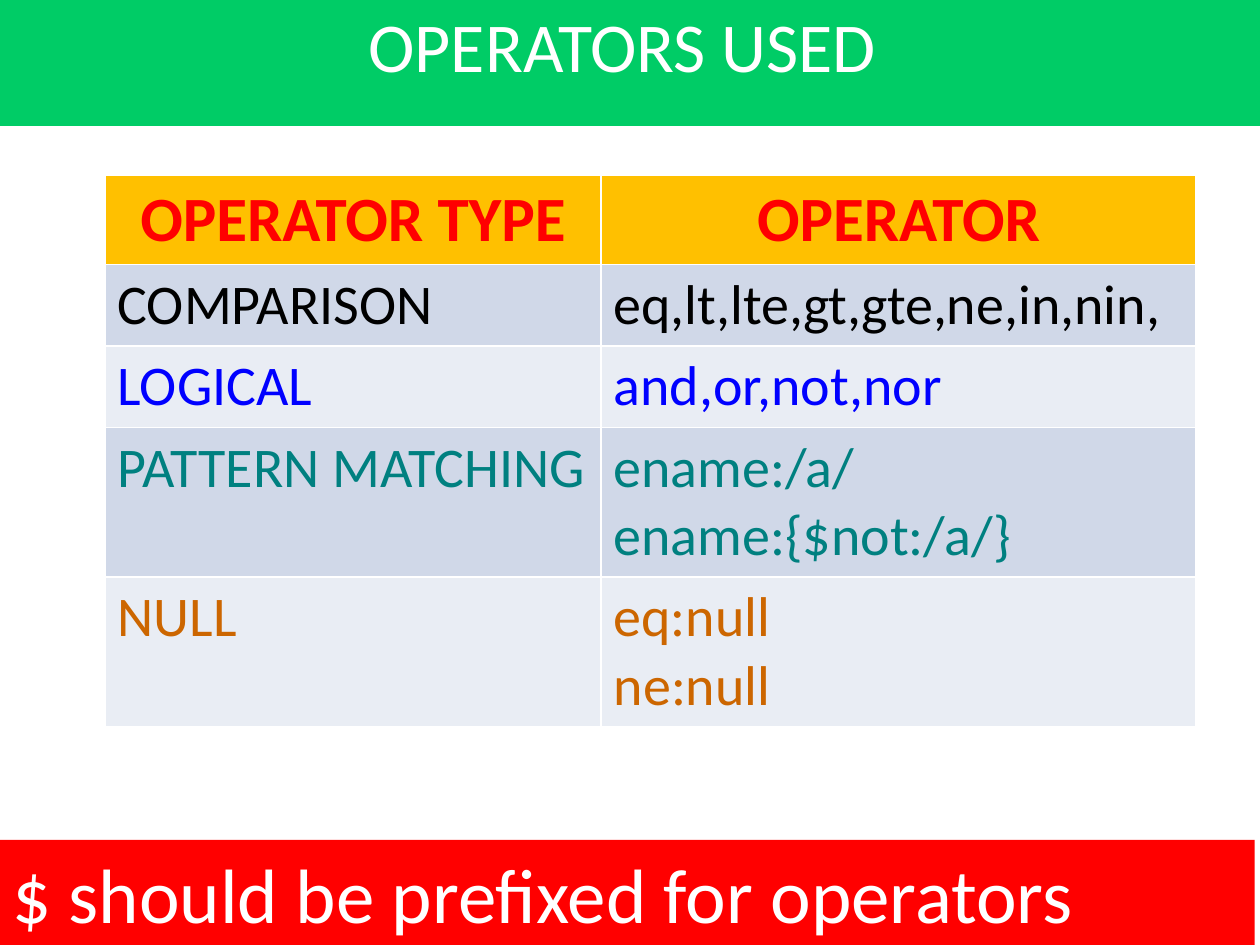
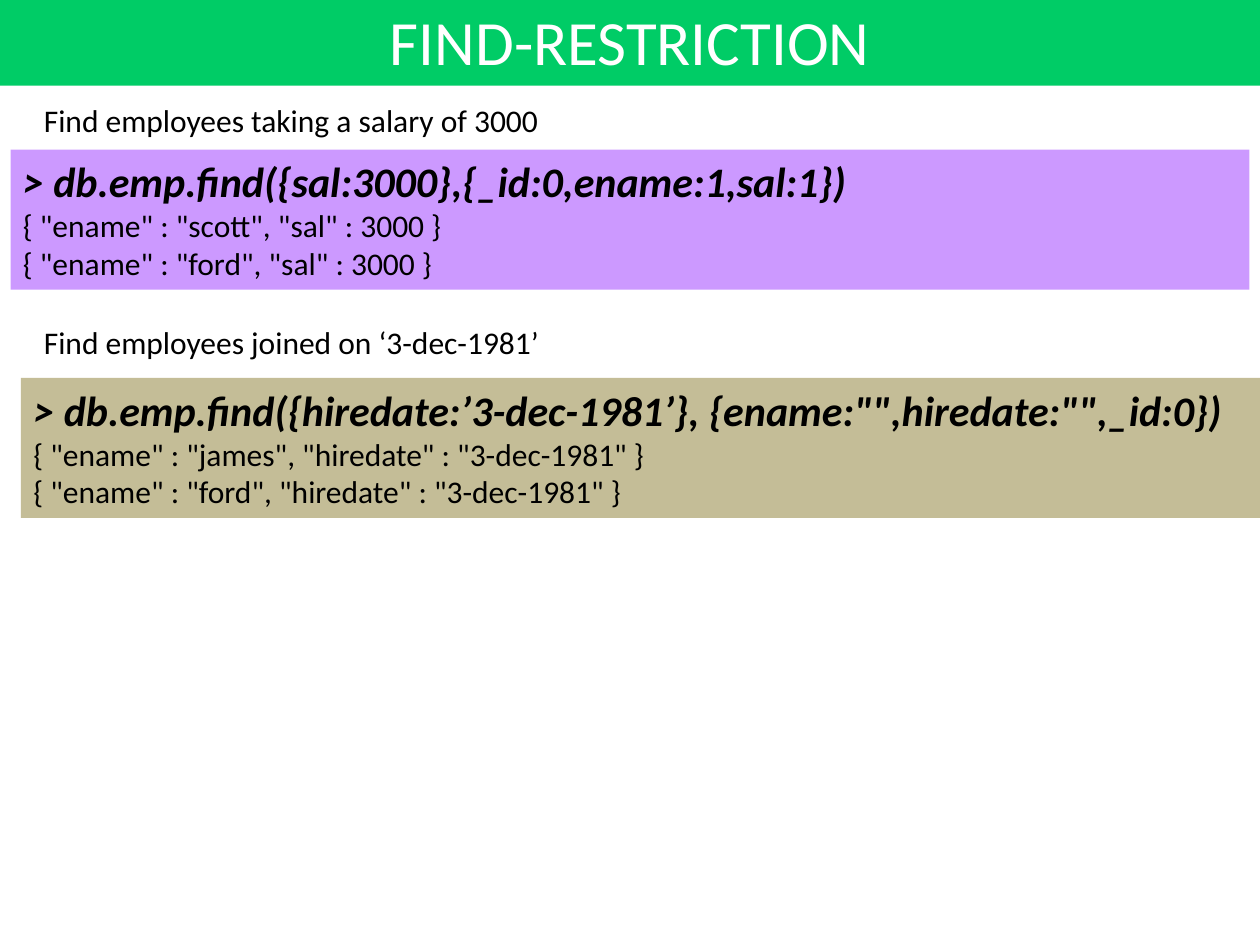
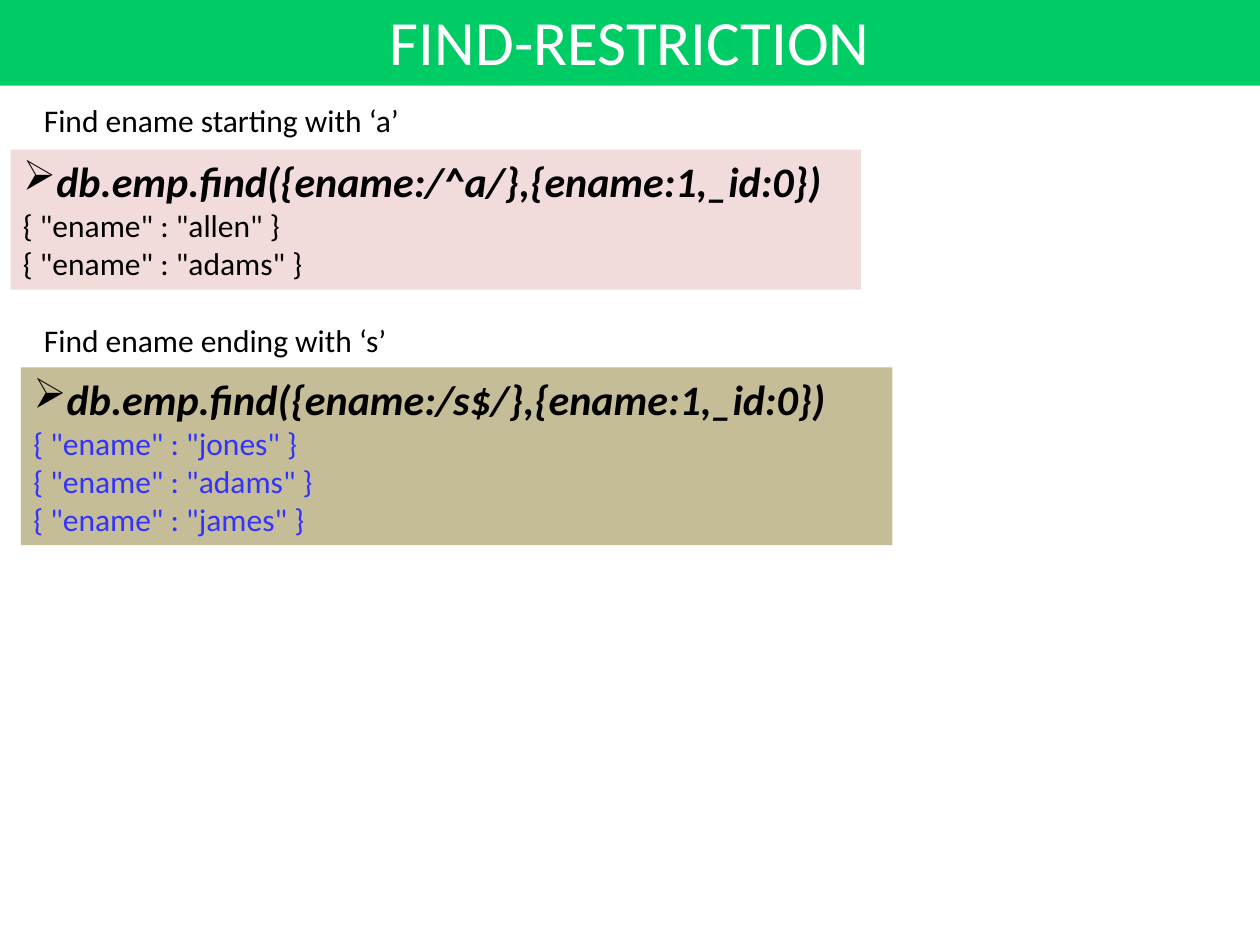
"""Build three slides on query operators and find restrictions."""
import pptx
import pptx.dml.color
import pptx.enum.shapes
import pptx.enum.text
import pptx.oxml
import pptx.oxml.ns
import pptx.util

Pt = pptx.util.Pt
RGBColor = pptx.dml.color.RGBColor
Align = pptx.enum.text.PP_ALIGN
AutoSize = pptx.enum.text.MSO_AUTO_SIZE

WHITE = RGBColor(0xFF, 0xFF, 0xFF)
BLACK = RGBColor(0, 0, 0)
GREEN = RGBColor(0x00, 0xCC, 0x66)
RED = RGBColor(0xFF, 0, 0)
GOLD = RGBColor(0xFF, 0xC0, 0)
BLUE = RGBColor(0, 0, 0xFF)
TEAL = RGBColor(0, 0x80, 0x80)
ORANGE = RGBColor(0xCC, 0x66, 0)
PURPLE = RGBColor(0xCC, 0x99, 0xFF)
TAN = RGBColor(0xC4, 0xBD, 0x97)
PINK = RGBColor(0xF2, 0xDC, 0xDB)
INDIGO = RGBColor(0x33, 0x33, 0xFF)
BANDS = (RGBColor(0xD0, 0xD8, 0xE8), RGBColor(0xE9, 0xED, 0xF4))

SLIDE_WIDTH, SLIDE_HEIGHT = 720, 540
TITLE_TOP = -2
LABEL_LEFT, LABEL_HEIGHT = 18, 29
TABLE_LEFT, TABLE_TOP = 60, 100
COLUMN_WIDTHS = (283.5, 340)
HEADER_HEIGHT = 50.5
ROW_HEIGHTS = {1: 46.5, 2: 85}

OPERATOR_HEADER = ("OPERATOR TYPE", "OPERATOR")
OPERATOR_ROWS = [
    ("COMPARISON", ["eq,lt,lte,gt,gte,ne,in,nin,"], BLACK),
    ("LOGICAL", ["and,or,not,nor"], BLUE),
    ("PATTERN MATCHING", ["ename:/a/", "ename:{$not:/a/}"], TEAL),
    ("NULL", ["eq:null", "ne:null"], ORANGE),
]
FOOTER = "$ should be prefixed for operators"

FIND_SLIDES = [
    [
        dict(label="Find employees taking a salary of 3000", label_at=(54, 304.5),
             at=(6, 85.5, 708, 80), fill=PURPLE, bullet=None, color=BLACK,
             query="> db.emp.find({sal:3000},{_id:0,ename:1,sal:1})",
             results=['{ "ename" : "scott", "sal" : 3000 }',
                      '{ "ename" : "ford", "sal" : 3000 }']),
        dict(label="Find employees joined on ‘3-dec-1981’", label_at=(181, 304.5),
             at=(12, 216, 708, 80), fill=TAN, bullet=None, color=BLACK,
             query='> db.emp.find({hiredate:’3-dec-1981’}, {ename:"",hiredate:"",_id:0})',
             results=['{ "ename" : "james", "hiredate" : "3-dec-1981" }',
                      '{ "ename" : "ford", "hiredate" : "3-dec-1981" }']),
    ],
    [
        dict(label="Find ename starting with ‘a’", label_at=(54, 224.5),
             at=(6, 85.5, 486, 80), fill=PINK, bullet="➢", color=BLACK,
             query="db.emp.find({ename:/^a/},{ename:1,_id:0})",
             results=['{ "ename" : "allen" }', '{ "ename" : "adams" }']),
        dict(label="Find ename ending with ‘s’", label_at=(180, 217.5),
             at=(12, 210, 498, 101.5), fill=TAN, bullet="➢", color=INDIGO,
             query="db.emp.find({ename:/s$/},{ename:1,_id:0})",
             results=['{ "ename" : "jones" }', '{ "ename" : "adams" }',
                      '{ "ename" : "james" }']),
    ],
]


def write(frame, lines, align=Align.LEFT):
    """Write (text, size, color, extra font values, bullet) lines as paragraphs."""
    for index, (text, size, color, extra, bullet) in enumerate(lines):
        para = frame.add_paragraph() if index else frame.paragraphs[0]
        para.alignment = align
        if bullet:
            mark = pptx.oxml.parse_xml(
                f'<a:buChar {pptx.oxml.ns.nsdecls("a")} char="{bullet}"/>')
            para._p.get_or_add_pPr().append(mark)
        span = para.add_run()
        span.text = text
        values = {"name": "Calibri", "size": Pt(size), "bold": False, "italic": False}
        for name, value in {**values, **extra}.items():
            setattr(span.font, name, value)
        span.font.color.rgb = color


def add_band(page, at, fill, lines, align=Align.LEFT, fit=AutoSize.SHAPE_TO_FIT_TEXT):
    """Add a borderless filled rectangle with text at its top."""
    box = page.shapes.add_shape(
        pptx.enum.shapes.MSO_SHAPE.RECTANGLE, *(Pt(length) for length in at))
    box.shadow.inherit = False
    box.fill.solid()
    box.fill.fore_color.rgb = fill
    box.line.fill.background()
    frame = {"word_wrap": True, "auto_size": fit,
             "vertical_anchor": pptx.enum.text.MSO_ANCHOR.TOP}
    for name, value in frame.items():
        setattr(box.text_frame, name, value)
    write(box.text_frame, lines, align)


def add_page(deck, title, size, height):
    """Add a blank slide with the green title band."""
    page = deck.slides.add_slide(deck.slide_layouts[6])
    add_band(page, (0, TITLE_TOP, SLIDE_WIDTH, height), GREEN,
             [(title, size, WHITE, {}, None)], Align.CENTER, AutoSize.NONE)
    return page


def fill_cell(cell, fill, lines, align=Align.LEFT):
    """Fill one table cell with a colour and text."""
    cell.fill.solid()
    cell.fill.fore_color.rgb = fill
    write(cell.text_frame, lines, align)


def add_operator_table(page):
    """Add the table of operator types."""
    heights = [HEADER_HEIGHT] + [ROW_HEIGHTS[len(row[1])] for row in OPERATOR_ROWS]
    table = page.shapes.add_table(
        len(heights), len(COLUMN_WIDTHS), Pt(TABLE_LEFT), Pt(TABLE_TOP),
        Pt(sum(COLUMN_WIDTHS)), Pt(sum(heights))).table
    for column, width in zip(table.columns, COLUMN_WIDTHS):
        column.width = Pt(width)
    for row, height in zip(table.rows, heights):
        row.height = Pt(height)
    for column, text in enumerate(OPERATOR_HEADER):
        fill_cell(table.cell(0, column), GOLD,
                  [(text, 36, RED, {"bold": True}, None)], Align.CENTER)
    for index, (kind, operators, color) in enumerate(OPERATOR_ROWS):
        for column, texts in enumerate(([kind], operators)):
            fill_cell(table.cell(index + 1, column), BANDS[index % 2],
                      [(text, 32, color, {}, None) for text in texts])


def add_example(page, example):
    """Add a query with its results and the label above it."""
    query = (example["query"], 24, BLACK, {"bold": True, "italic": True},
             example["bullet"])
    results = [(text, 18, example["color"], {}, None) for text in example["results"]]
    add_band(page, example["at"], example["fill"], [query, *results])
    top, width = example["label_at"]
    label = page.shapes.add_textbox(
        Pt(LABEL_LEFT), Pt(top), Pt(width), Pt(LABEL_HEIGHT))
    label.text_frame.word_wrap = False
    write(label.text_frame, [(example["label"], 18, BLACK, {}, None)])


def main():
    """Build and save the deck."""
    deck = pptx.Presentation()
    deck.slide_width, deck.slide_height = Pt(SLIDE_WIDTH), Pt(SLIDE_HEIGHT)
    page = add_page(deck, "OPERATORS USED ", 40, 74)
    add_operator_table(page)
    add_band(page, (0, 480, 717, 60.5), RED, [(FOOTER, 44, WHITE, {}, None)])
    for examples in FIND_SLIDES:
        page = add_page(deck, "FIND-RESTRICTION", 36, 51)
        for example in examples:
            add_example(page, example)
    deck.save("out.pptx")


if __name__ == "__main__":
    main()
